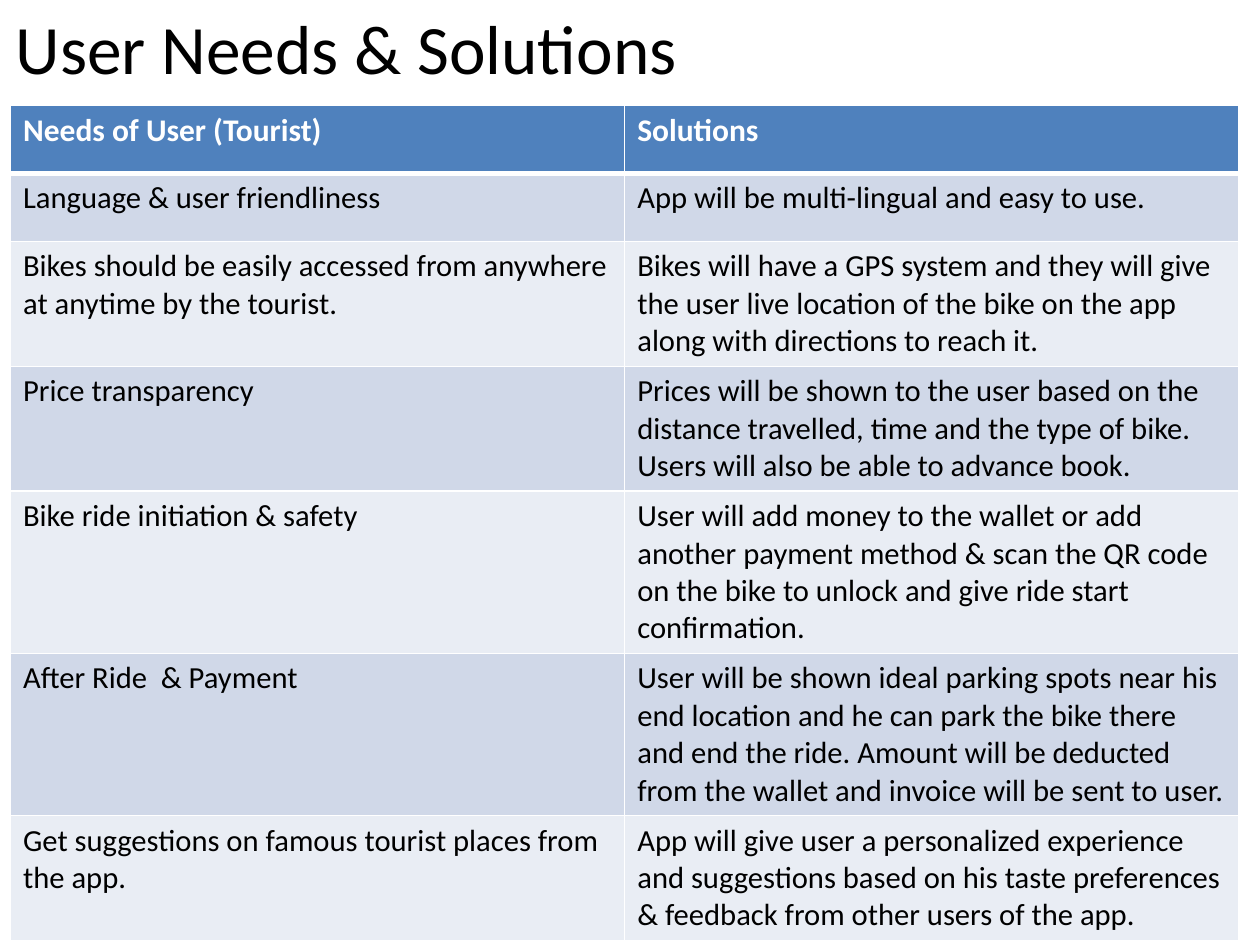
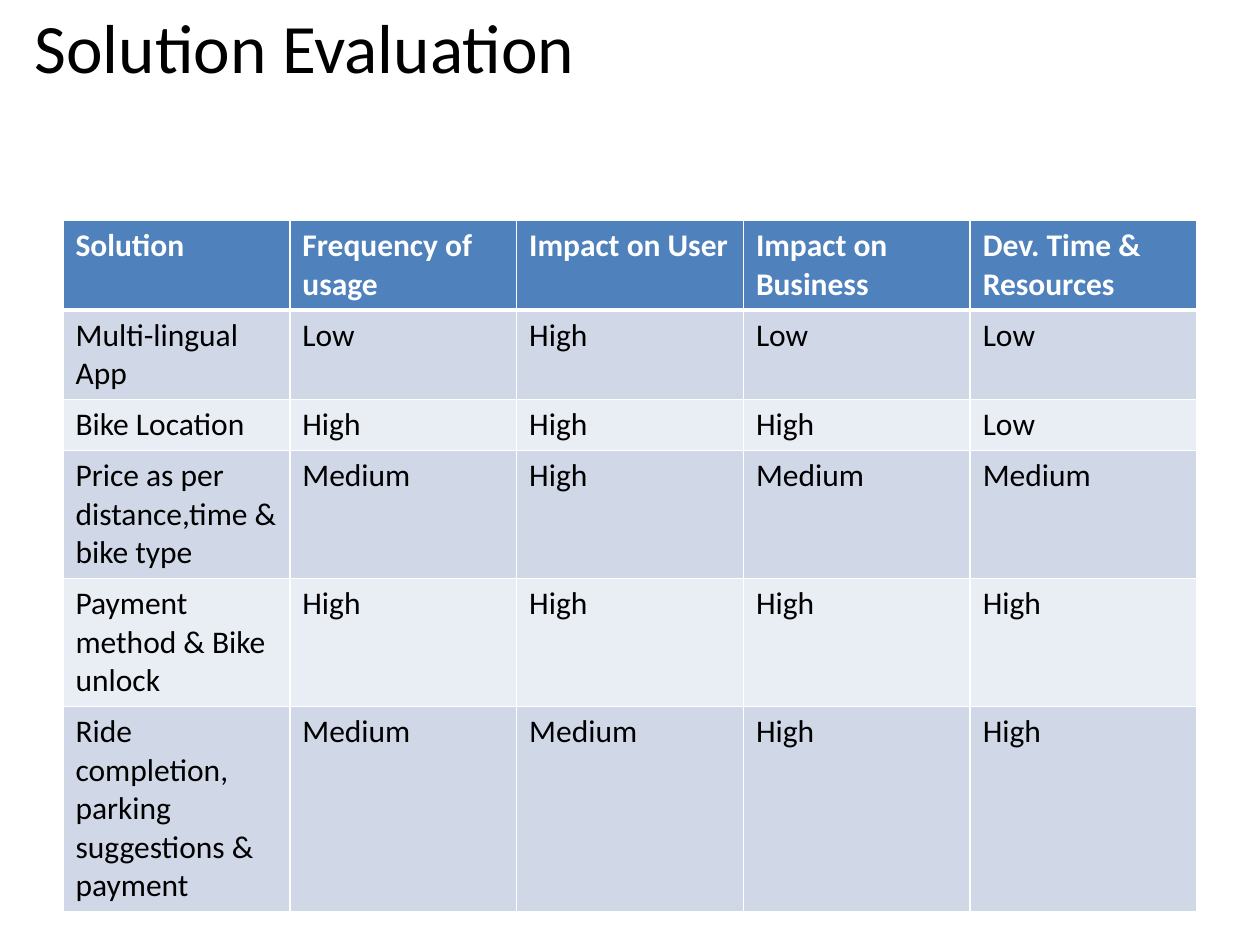
from lxml.etree import Element, SubElement
from pptx import Presentation
from pptx.dml.color import RGBColor
from pptx.enum.text import MSO_ANCHOR, MSO_AUTO_SIZE, PP_ALIGN
from pptx.oxml.ns import qn
from pptx.util import Pt

# Content: title box is (left, top, width, height); all lengths in points
SLIDES = [
    {
        "title": "User Needs & Solutions",
        "title_box": (0, 0, 396, 54),
        "table_at": (6, 60),
        "table_width": 702,
        "row_heights": (39, 39, 66, 66, 86, 86, 66),
        "body_size": 17.5,
        "rows": [
            ("Needs of User (Tourist)", "Solutions"),
            ("Language & user friendliness",
             "App will be multi-lingual and easy to use."),
            ("Bikes should be easily accessed from anywhere at anytime by the tourist.",
             "Bikes will have a GPS system and they will give the user live location "
             "of the bike on the app along with directions to reach it."),
            ("Price transparency",
             "Prices will be shown to the user based on the distance travelled, time "
             "and the type of bike. Users will also be able to advance book."),
            ("Bike ride initiation & safety",
             "User will add money to the wallet or add another payment method & scan "
             "the QR code on the bike to unlock and give ride start confirmation."),
            ("After Ride  & Payment",
             "User will be shown ideal parking spots near his end location and he can "
             "park the bike there and end the ride. Amount will be deducted from the "
             "wallet and invoice will be sent to user."),
            ("Get suggestions on famous tourist places from the app.",
             "App will give user a personalized experience and suggestions based on "
             "his taste preferences & feedback from other users of the app."),
        ],
    },
    {
        "title": "Solution Evaluation",
        "title_box": (0, 3.5, 348, 45),
        "table_at": (36, 126),
        "table_width": 648,
        "row_heights": (29.2,) * 6,
        "body_size": 18,
        "rows": [
            ("Solution", "Frequency of usage", "Impact on User",
             "Impact on Business", "Dev. Time & Resources"),
            ("Multi-lingual App", "Low", "High", "Low", "Low"),
            ("Bike Location", "High", "High", "High", "Low"),
            ("Price as per distance,time & bike type",
             "Medium", "High", "Medium", "Medium"),
            ("Payment method & Bike unlock", "High", "High", "High", "High"),
            ("Ride completion, parking suggestions & payment",
             "Medium", "Medium", "High", "High"),
        ],
    },
]

# Shared look
COLORS = {"header": "4F81BD", "odd": "D0D8E8", "even": "E9EDF4",
          "white": "FFFFFF", "text": "000000"}
FONT = "Calibri"
TITLE_SIZE, HEADER_SIZE = 39.6, 18
THIN, THICK = 1, 3


def rgb(name):
    return RGBColor.from_string(COLORS[name])


def format_text(span, size, color, bold=False):
    for name, value in {"name": FONT, "size": Pt(size), "bold": bold}.items():
        setattr(span.font, name, value)
    span.font.color.rgb = rgb(color)


def add_borders(cell, widths):
    properties = cell._tc.get_or_add_tcPr()
    for position, (side, width) in enumerate(widths.items()):
        line = Element(qn(f"a:ln{side}"), w=str(Pt(width)))
        fill = SubElement(line, qn("a:solidFill"))
        SubElement(fill, qn("a:srgbClr"), val=COLORS["white"])
        properties.insert(position, line)


def add_title(page, text, bounds):
    box = page.shapes.title
    for name, value in zip(("left", "top", "width", "height"), bounds):
        setattr(box, name, Pt(value))
    frame = box.text_frame
    settings = {"word_wrap": True, "auto_size": MSO_AUTO_SIZE.NONE,
                "vertical_anchor": MSO_ANCHOR.MIDDLE}
    for name, value in settings.items():
        setattr(frame, name, value)
    para = frame.paragraphs[0]
    para.alignment = PP_ALIGN.CENTER
    span = para.add_run()
    span.text = text
    format_text(span, TITLE_SIZE, "text")


def fill_cell(cell, text, row_index, body_size):
    is_header = row_index == 0
    band = "header" if is_header else ("even", "odd")[row_index % 2]
    cell.fill.solid()
    cell.fill.fore_color.rgb = rgb(band)
    span = cell.text_frame.paragraphs[0].add_run()
    span.text = text
    if is_header:
        format_text(span, HEADER_SIZE, "white", bold=True)
    else:
        format_text(span, body_size, "text")
    # A thick rule divides the header from the body
    add_borders(cell, {"L": THIN, "R": THIN,
                       "T": THICK if row_index == 1 else THIN,
                       "B": THICK if is_header else THIN})


def add_grid(page, content):
    rows, heights = content["rows"], content["row_heights"]
    left, top = content["table_at"]
    width = content["table_width"]
    column_count = len(rows[0])
    table = page.shapes.add_table(len(rows), column_count, Pt(left), Pt(top),
                                  Pt(width), Pt(sum(heights))).table
    for column in table.columns:
        column.width = Pt(width / column_count)
    for row_index, (texts, height) in enumerate(zip(rows, heights)):
        table.rows[row_index].height = Pt(height)
        for column_index, text in enumerate(texts):
            fill_cell(table.cell(row_index, column_index), text, row_index,
                      content["body_size"])


def main():
    deck = Presentation()
    deck.slide_width, deck.slide_height = Pt(720), Pt(540)
    title_only = deck.slide_layouts.get_by_name("Title Only")
    for content in SLIDES:
        page = deck.slides.add_slide(title_only)
        add_title(page, content["title"], content["title_box"])
        add_grid(page, content)
    deck.save("out.pptx")


if __name__ == "__main__":
    main()
